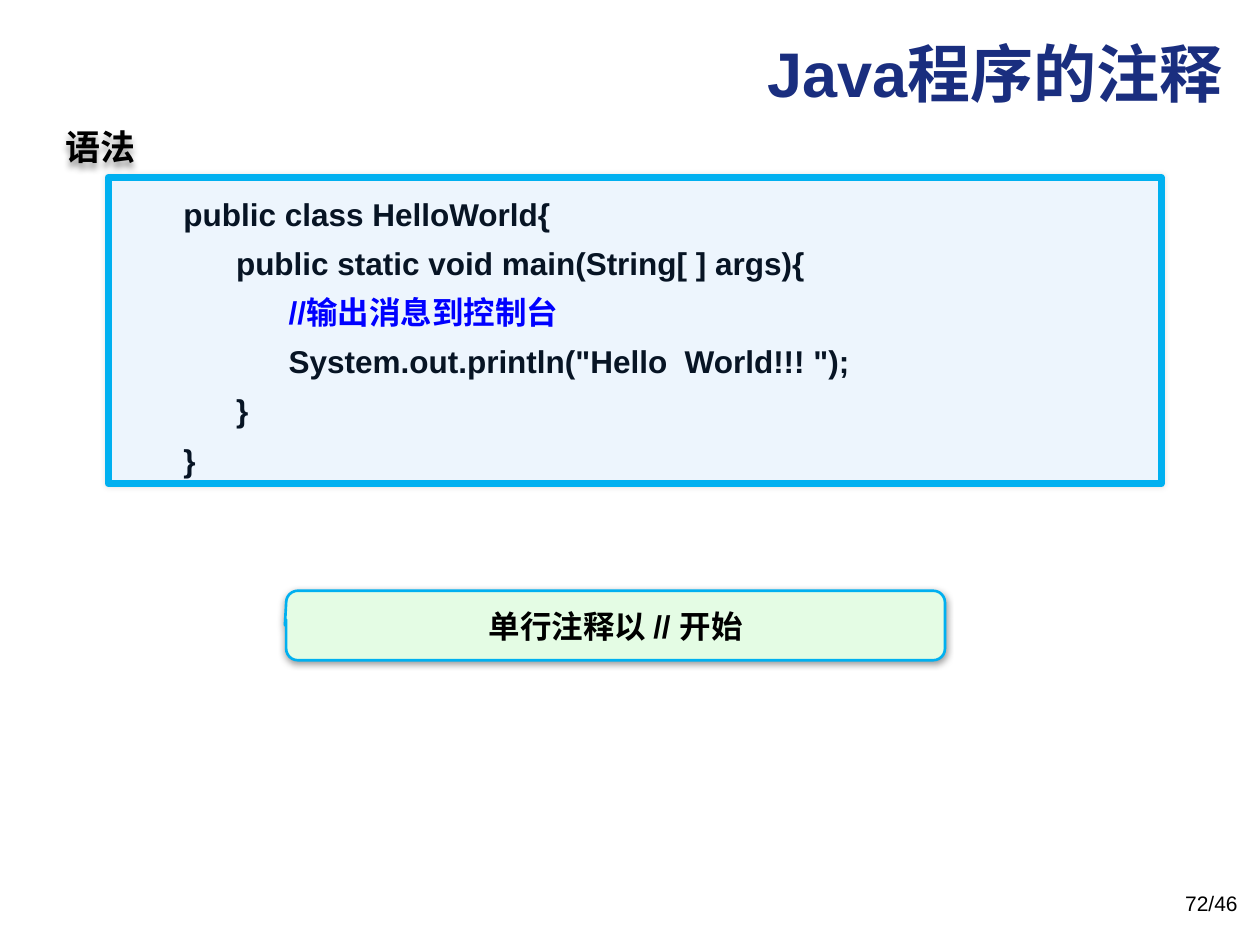
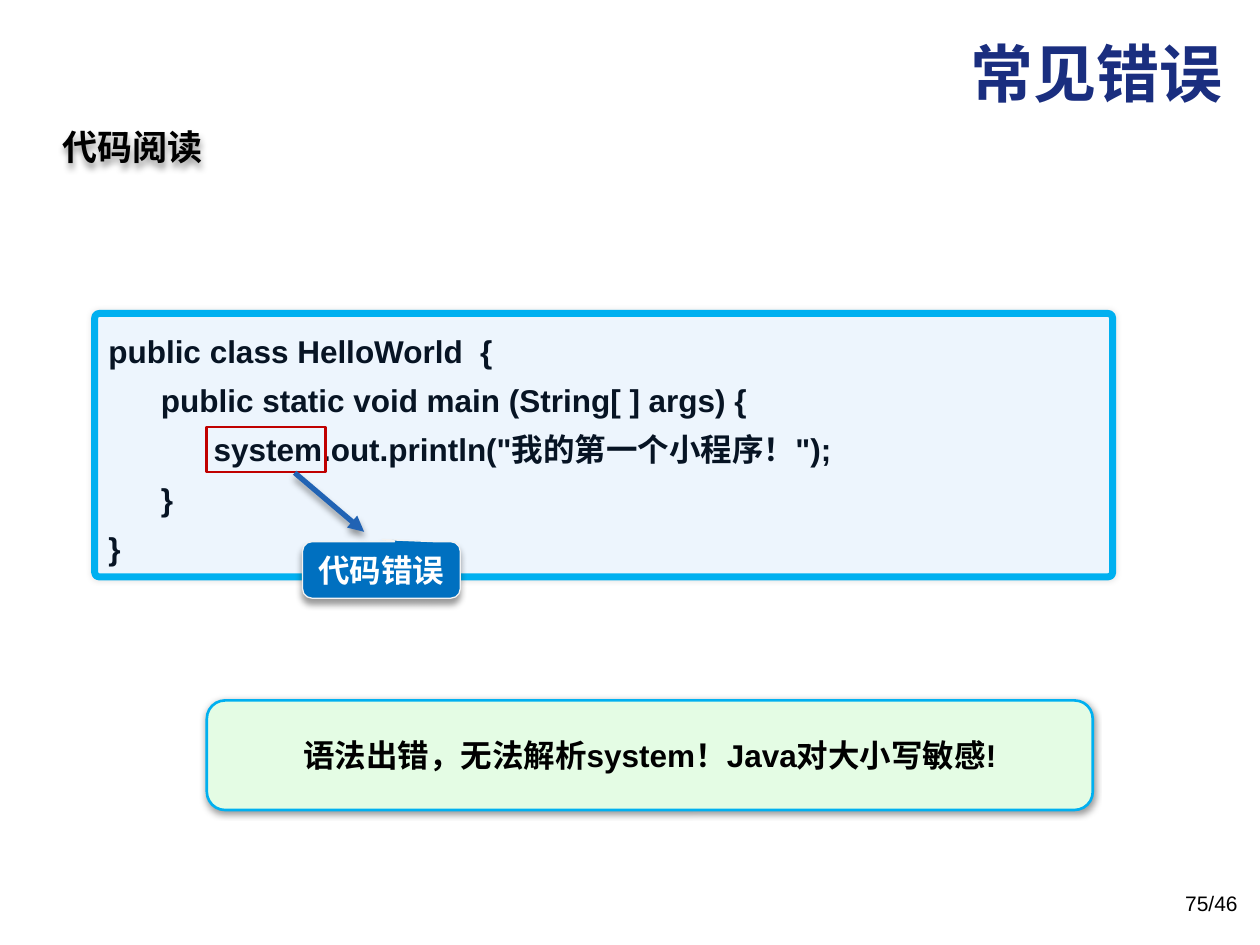
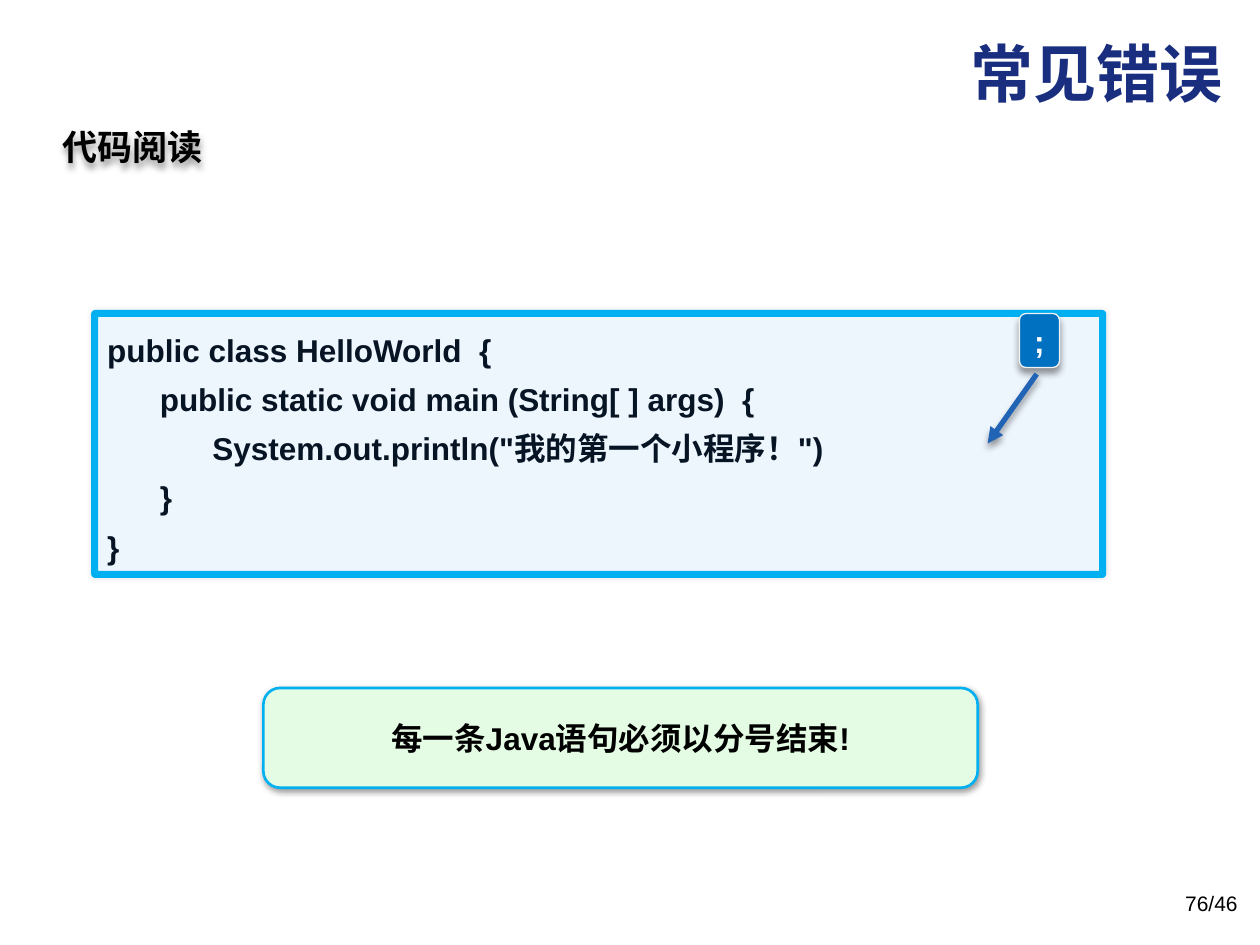
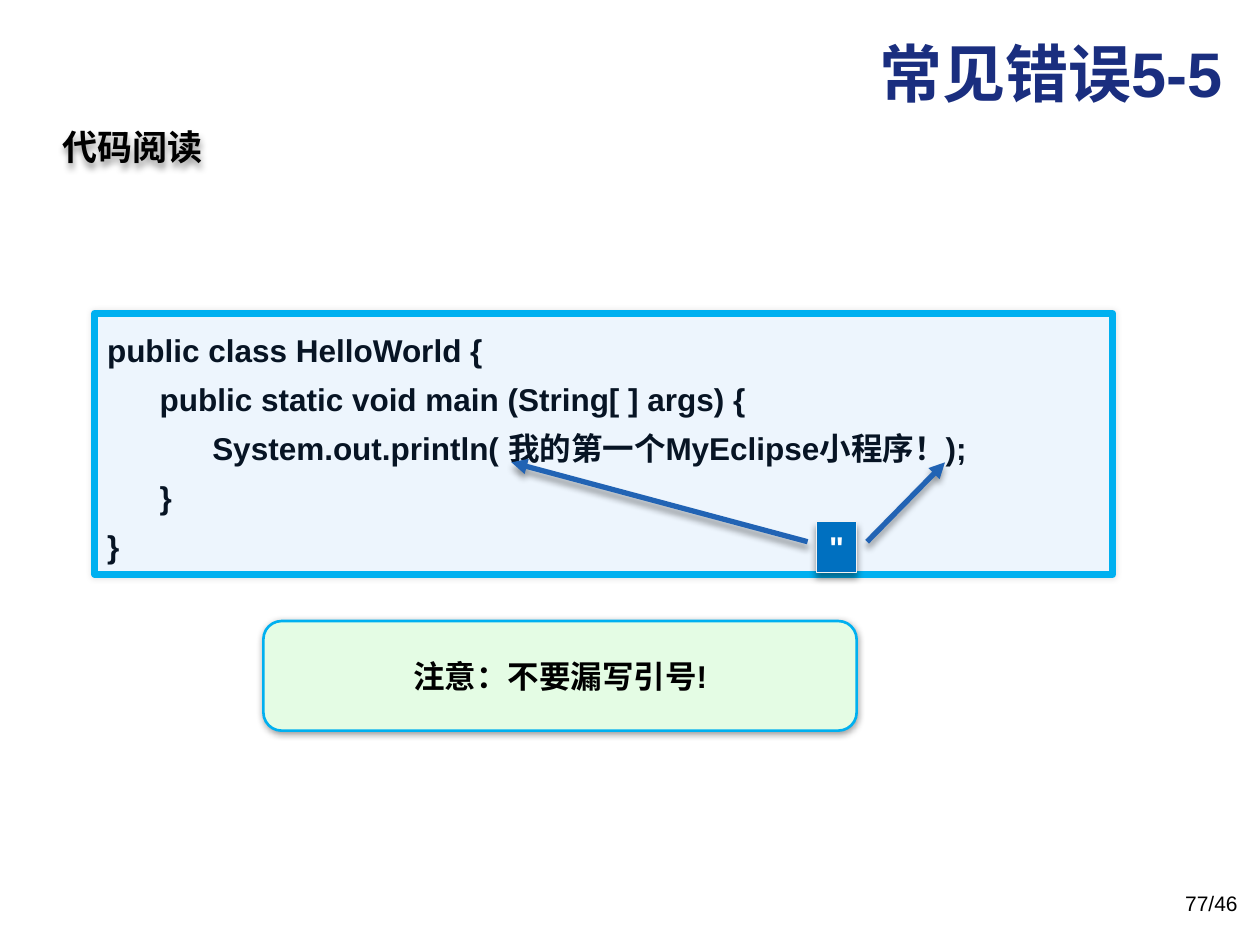
from lxml import etree
from pptx import Presentation
from pptx import util as u
from pptx.dml.color import RGBColor
from pptx.enum import shapes, text
from pptx.oxml.ns import qn

NAVY = RGBColor(0x1A, 0x2E, 0x7F)
INK = RGBColor(0x07, 0x14, 0x24)
BLACK = RGBColor(0, 0, 0)
WHITE = RGBColor(0xFF, 0xFF, 0xFF)
COMMENT_BLUE = RGBColor(0, 0, 0xFF)
SKY = RGBColor(0, 0xB0, 0xF0)
PALE_BLUE = RGBColor(0xED, 0xF5, 0xFD)
PALE_GREEN = RGBColor(0xE4, 0xFC, 0xE4)
BADGE_BLUE = RGBColor(0, 0x70, 0xC0)
BADGE_EDGE = RGBColor(0xF2, 0xF2, 0xF2)
ARROW_BLUE = RGBColor(0x21, 0x63, 0xB4)
RED = RGBColor(0xC0, 0, 0)

LATIN, CHINESE = "Arial", "Noto Sans CJK SC"
TITLE_BOX = (2.03, 0.58, 22.86, 2.49)
PAGE_BOX = (19.28, 17.83, 5.92, 1.02)
READING_BOX = (0.99, 2.39, 3.38, 1.12)
TAB_STEP = 1.06
INSET = 0.25

ROUND = shapes.MSO_SHAPE.ROUNDED_RECTANGLE
CALLOUT = shapes.MSO_SHAPE.ROUNDED_RECTANGULAR_CALLOUT
LEFT, CENTER, RIGHT = text.PP_ALIGN.LEFT, text.PP_ALIGN.CENTER, text.PP_ALIGN.RIGHT

CODE_SHADOW = (10, 3, 0, 0)
NOTE_SHADOW = (40, 4, 1, 90)
POINTER_SHADOW = (40, 4, 3, 90)

LESSONS = [
    {
        "title": "Java程序的注释", "page": "72/46",
        "heading": ("语法", (1.04, 2.39, 1.96, 1.12)),
        "code": [
            "public class HelloWorld{",
            "\tpublic static void main(String[ ] args){",
            "\t\t//输出消息到控制台",
            '\t\tSystem.out.println("Hello  World!!! ");',
            "\t}",
            "}",
        ],
        "code_box": (2.18, 3.58, 21.23, 6.17), "code_corner": 0, "code_inset": 1.52,
        "note": ("单行注释以 // 开始", (5.77, 11.91, 13.28, 1.4), CALLOUT, (-0.502, -0.003, 0.167)),
    },
    {
        "title": "常见错误", "page": "75/46",
        "heading": ("代码阅读", READING_BOX),
        "code": [
            "public class HelloWorld  {",
            "\tpublic static void main (String[ ] args) {",
            '\t\tsystem.out.println("我的第一个小程序！");',
            "\t}",
            "}",
        ],
        "code_box": (1.91, 6.32, 20.52, 5.31), "code_corner": 0.017,
        "note": ("语法出错，无法解析system！Java对大小写敏感!", (4.17, 14.12, 17.86, 2.21), ROUND, (0.167,)),
        "highlight": (4.17, 8.61, 2.39, 0.91),
        "badge": ("代码错误", (6.1, 10.92, 3.18, 1.14), CALLOUT, (0.006, -0.538, 0.167)),
        "arrows": [(5.94, 9.53, 7.34, 10.72)],
    },
    {
        "title": "常见错误", "page": "76/46",
        "heading": ("代码阅读", READING_BOX),
        "code": [
            "public class HelloWorld  {",
            "\tpublic static void main (String[ ] args)  {",
            '\t\tSystem.out.println("我的第一个小程序！")',
            "\t}",
            "}",
        ],
        "code_box": (1.91, 6.32, 20.32, 5.26), "code_corner": 0.002,
        "note": ("每一条Java语句必须以分号结束!", (5.31, 13.87, 14.4, 2.01), ROUND, (0.167,)),
        "badge": (";", (20.55, 6.32, 0.81, 1.09), ROUND, (0.167,)),
        "arrows": [(20.9, 7.54, 19.91, 8.94)],
    },
    {
        "title": "常见错误5-5", "page": "77/46",
        "heading": ("代码阅读", READING_BOX),
        "code": [
            "public class HelloWorld {",
            "\tpublic static void main (String[ ] args) {",
            "\t\tSystem.out.println( 我的第一个MyEclipse小程序！);",
            "\t}",
            "}",
        ],
        "code_box": (1.91, 6.32, 20.52, 5.26), "code_corner": 0,
        "note": ("注意：不要漏写引号!", (5.31, 12.52, 11.96, 2.21), ROUND, (0.167,)),
        "badge": ('"', (16.46, 10.52, 0.81, 1.02), ROUND, (0,)),
        "arrows": [(17.48, 10.92, 19.05, 9.32), (16.28, 10.92, 10.31, 9.32)],
    },
]


def in_cm(lengths):
    return [u.Cm(length) for length in lengths]


def cast_shadow(part, shadow):
    alpha, blur, distance, direction = shadow
    properties = part._element.spPr
    effects = properties.find(qn("a:effectLst"))
    if effects is None:
        effects = etree.SubElement(properties, qn("a:effectLst"))
    outer = etree.SubElement(effects, qn("a:outerShdw"), blurRad=str(u.Pt(blur)),
                             dist=str(u.Pt(distance)), dir=str(direction * 60000),
                             algn="ctr", rotWithShape="0")
    black = etree.SubElement(outer, qn("a:srgbClr"), val=str(BLACK))
    etree.SubElement(black, qn("a:alpha"), val=str(alpha * 1000))


def write(part, words, size, color, align, bold=True, middle=False, wrap=True, font=LATIN):
    frame = part.text_frame
    frame.text = words
    frame.word_wrap = wrap
    frame.vertical_anchor = text.MSO_ANCHOR.MIDDLE if middle else text.MSO_ANCHOR.TOP
    for paragraph in frame.paragraphs:
        paragraph.alignment = align
        for run in paragraph.runs:
            run.font.size = u.Pt(size)
            run.font.bold = bold
            run.font.name = font
            run.font.color.rgb = color
            etree.SubElement(run.font._element, qn("a:ea"), typeface=CHINESE)


def add_panel(slide, kind, box, corners, fill, edge, width, shadow=None):
    panel = slide.shapes.add_shape(kind, *in_cm(box))
    for index, corner in enumerate(corners):
        panel.adjustments[index] = corner
    if fill is None:
        panel.fill.background()
    else:
        panel.fill.solid()
        panel.fill.fore_color.rgb = fill
    panel.line.color.rgb = edge
    panel.line.width = u.Pt(width)
    panel.shadow.inherit = False
    if shadow:
        cast_shadow(panel, shadow)
    return panel


def add_label(slide, words, box, *style, **options):
    label = slide.shapes.add_textbox(*in_cm(box))
    write(label, words, *style, **options)
    return label


def add_code(slide, lesson):
    listing = add_panel(slide, ROUND, lesson["code_box"], (lesson["code_corner"],),
                        PALE_BLUE, SKY, 4, CODE_SHADOW)
    write(listing, "\n".join(lesson["code"]), 18, INK, LEFT)
    listing.text_frame.margin_left = u.Cm(lesson.get("code_inset", INSET))
    for line in listing.text_frame.paragraphs:
        line.line_spacing = 1.3
        stops = etree.SubElement(line._p.get_or_add_pPr(), qn("a:tabLst"))
        for depth in (1, 2):
            etree.SubElement(stops, qn("a:tab"), pos=str(u.Cm(TAB_STEP * depth)), algn="l")
        if line.text.strip().startswith("//"):
            line.runs[0].font.color.rgb = COMMENT_BLUE


def add_arrow(slide, ends):
    arrow = slide.shapes.add_connector(shapes.MSO_CONNECTOR.STRAIGHT, *in_cm(ends))
    arrow.line.color.rgb = ARROW_BLUE
    arrow.line.width = u.Pt(3)
    etree.SubElement(arrow._element.spPr.find(qn("a:ln")), qn("a:tailEnd"), type="triangle")
    cast_shadow(arrow, POINTER_SHADOW)


def add_lesson(deck, lesson):
    slide = deck.slides.add_slide(deck.slide_layouts[6])
    add_code(slide, lesson)
    words, box, kind, corners = lesson["note"]
    note = add_panel(slide, kind, box, corners, PALE_GREEN, SKY, 1.5, NOTE_SHADOW)
    write(note, words, 18, BLACK, CENTER, middle=True)
    if "highlight" in lesson:
        add_panel(slide, shapes.MSO_SHAPE.RECTANGLE, lesson["highlight"], (), None, RED, 1.5)
    if "badge" in lesson:
        words, box, kind, corners = lesson["badge"]
        badge = add_panel(slide, kind, box, corners, BADGE_BLUE, BADGE_EDGE, 0.75, POINTER_SHADOW)
        write(badge, words, 18, WHITE, CENTER, middle=True, wrap=False)
    add_label(slide, lesson["title"], TITLE_BOX, 36, NAVY, RIGHT)
    add_label(slide, lesson["page"], PAGE_BOX, 12, BLACK, RIGHT, bold=False)
    heading = add_label(slide, *lesson["heading"], 20, BLACK, CENTER,
                        middle=True, wrap=False, font=CHINESE)
    cast_shadow(heading, POINTER_SHADOW)
    for ends in lesson.get("arrows", []):
        add_arrow(slide, ends)


def main():
    deck = Presentation()
    deck.slide_width, deck.slide_height = u.Cm(25.4), u.Cm(19.05)
    for lesson in LESSONS:
        add_lesson(deck, lesson)
    deck.save("out.pptx")


if __name__ == "__main__":
    main()
